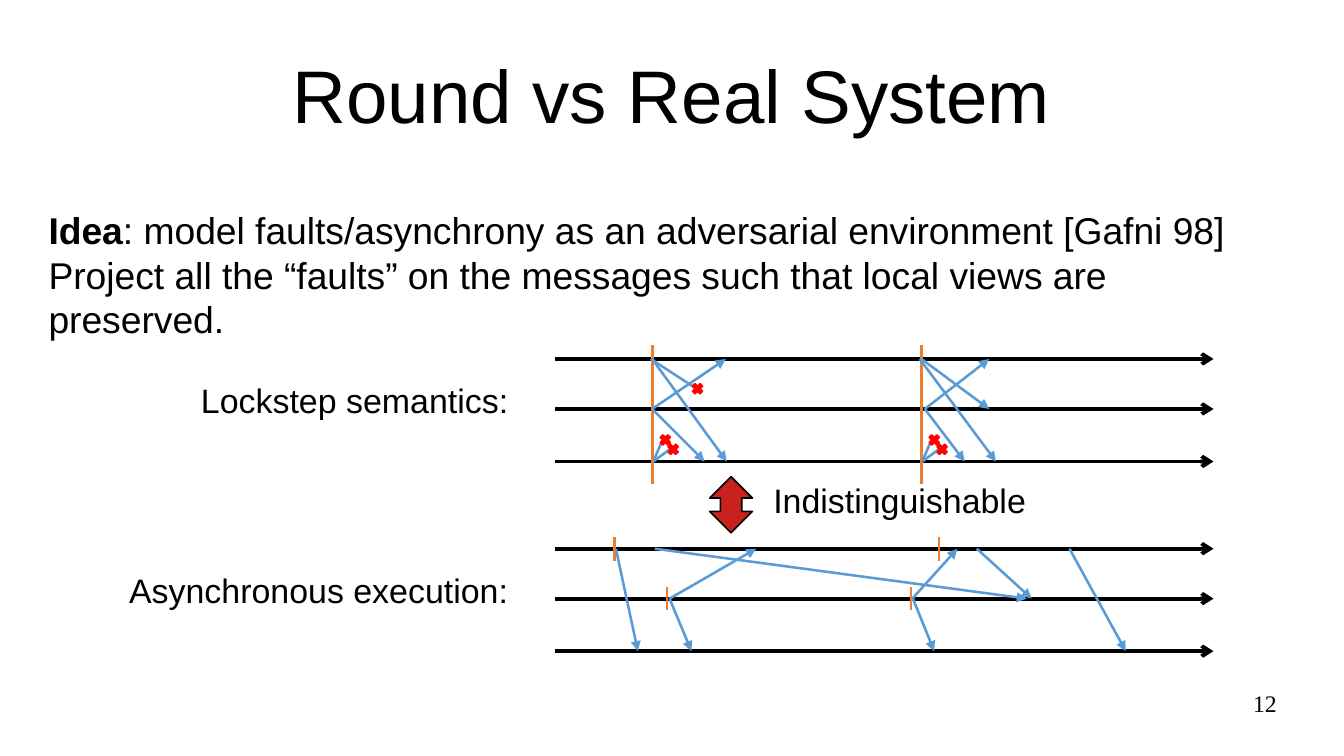
from pptx import Presentation
from pptx.dml.color import RGBColor
from pptx.enum.shapes import MSO_CONNECTOR, MSO_SHAPE
from pptx.enum.text import MSO_ANCHOR, MSO_AUTO_SIZE, PP_ALIGN
from pptx.oxml.ns import qn
from pptx.util import Pt
from lxml.etree import SubElement

BLACK = RGBColor(0x00, 0x00, 0x00)
ORANGE = RGBColor(0xED, 0x7D, 0x31)
BLUE = RGBColor(0x5B, 0x9B, 0xD5)
RED = RGBColor(0xFF, 0x00, 0x00)
DARK_RED = RGBColor(0xC9, 0x21, 0x1E)

TITLE = "Round vs Real System"
IDEA = [
    [("Idea", True),
     (": model faults/asynchrony as an adversarial environment [Gafni 98]", False)],
    [("Project all the “faults” on the messages such that local views are preserved.", False)],
]
LABELS = [  # text, left, top, width
    ("Lockstep semantics:", 111.6, 220.7, 196),
    ("Asynchronous execution:", 69.1, 332.6, 239),
    ("Indistinguishable", 449.5, 279.4, 166),
]

LANE_LEFT, LANE_RIGHT = 327.8, 716.4
LANE_OFFSETS = (0, 29.5, 60.5)
LOCKSTEP = [212 + offset for offset in LANE_OFFSETS]
ASYNCHRONOUS = [324 + offset for offset in LANE_OFFSETS]

# Messages: start x, start lane, end x, end lane
LOCKSTEP_MESSAGES = [
    (385, 0, 429, 2), (385, 1, 428.5, 0), (385, 1, 416, 2),
    (543, 0, 588, 2), (546, 1, 584, 0), (546, 1, 569.5, 2), (544, 0, 584, 1),
]
ASYNCHRONOUS_MESSAGES = [
    (363.6, 0, 376.6, 2), (386.6, 0, 606.2, 1), (395.3, 1, 408.2, 2),
    (395.3, 1, 446.4, 0), (539, 1, 551.5, 2), (538.6, 1, 565.2, 0),
    (576.7, 0, 609.1, 1), (631.4, 0, 664.6, 2),
]
ROUND_STARTS = (385.2, 544)
LOCAL_STARTS = [(362.9, 0), (393.8, 1), (554.4, 0), (537.8, 1)]  # x, lane
TICK_HALF = 7

# Lost messages, from the round start: start dx, lane, end dx, dy, cross dx, dy
LOST_EACH_ROUND = [(0.5, 2, 12, -8.5, 12.2, -7.2), (0.5, 2, 5, -10.5, 7.6, -12.7)]
LOST_FIRST_ROUND = [(-1, 0, 29, 19.5, 26.6, 17.5)]
CROSS_SIZE = 8.64


def add_line(page, x1, y1, x2, y2, color, width=1.5, head=None):
    line = page.shapes.add_connector(
        MSO_CONNECTOR.STRAIGHT, Pt(x1), Pt(y1), Pt(x2), Pt(y2))
    line.line.color.rgb = color
    line.line.width = Pt(width)
    if head:
        SubElement(line.line._get_or_add_ln(), qn("a:tailEnd"), type=head)
    SubElement(line._element.spPr, qn("a:effectLst"))


def add_symbol(page, kind, left, top, width, height, fill, outline):
    symbol = page.shapes.add_shape(kind, Pt(left), Pt(top), Pt(width), Pt(height))
    symbol.shadow.inherit = False
    symbol.fill.solid()
    symbol.fill.fore_color.rgb = fill
    symbol.line.color.rgb = outline
    symbol.line.width = Pt(1)


def style(span, size, name="Arial", bold=False):
    span.font.size = Pt(size)
    span.font.name = name
    span.font.bold = bold
    span.font.color.rgb = BLACK


def add_box(page, left, top, width, height):
    frame = page.shapes.add_textbox(Pt(left), Pt(top), Pt(width), Pt(height)).text_frame
    frame.word_wrap = True
    return frame


def clear_margins(frame):
    frame.margin_left = frame.margin_right = frame.margin_top = frame.margin_bottom = 0


def add_title(page):
    title = page.shapes.title
    title.left, title.top, title.width, title.height = Pt(39.6), Pt(18), Pt(714.2), Pt(74.9)
    frame = title.text_frame
    frame.text = TITLE
    frame.auto_size = MSO_AUTO_SIZE.NONE
    frame.vertical_anchor = MSO_ANCHOR.MIDDLE
    clear_margins(frame)
    frame.paragraphs[0].alignment = PP_ALIGN.CENTER
    style(frame.paragraphs[0].runs[0], 44)


def add_texts(page):
    for text, left, top, width in LABELS:
        frame = add_box(page, left, top, width, 31)
        frame.word_wrap = False
        frame.auto_size = MSO_AUTO_SIZE.SHAPE_TO_FIT_TEXT
        frame.text = text
        style(frame.paragraphs[0].runs[0], 20)

    frame = add_box(page, 21.6, 118.8, 720, 80.6)
    for index, spans in enumerate(IDEA):
        para = frame.add_paragraph() if index else frame.paragraphs[0]
        for text, bold in spans:
            span = para.add_run()
            span.text = text
            style(span, 22, bold=bold)

    frame = add_box(page, 568.8, 406.8, 185, 31)
    clear_margins(frame)
    frame.text = "12"
    frame.paragraphs[0].alignment = PP_ALIGN.RIGHT
    style(frame.paragraphs[0].runs[0], 14, "Times New Roman")


def add_diagram(page):
    for y in LOCKSTEP + ASYNCHRONOUS:
        add_line(page, LANE_LEFT, y, LANE_RIGHT, y, BLACK, 2.25, "arrow")
    for x in ROUND_STARTS:
        add_line(page, x, LOCKSTEP[0] - 8, x, LOCKSTEP[2] + 13.5, ORANGE)
    for x, lane in LOCAL_STARTS:
        y = ASYNCHRONOUS[lane]
        add_line(page, x, y - TICK_HALF, x, y + TICK_HALF, ORANGE)

    for lanes, messages in ((LOCKSTEP, LOCKSTEP_MESSAGES),
                            (ASYNCHRONOUS, ASYNCHRONOUS_MESSAGES)):
        for x1, start, x2, end in messages:
            add_line(page, x1, lanes[start], x2, lanes[end], BLUE, head="triangle")

    for x, lost in zip(ROUND_STARTS, (LOST_FIRST_ROUND + LOST_EACH_ROUND, LOST_EACH_ROUND)):
        for start_dx, lane, end_dx, end_dy, _, _ in lost:
            y = LOCKSTEP[lane]
            add_line(page, x + start_dx, y, x + end_dx, y + end_dy, BLUE)
        for _, lane, _, _, cross_dx, cross_dy in lost:
            add_symbol(page, MSO_SHAPE.MATH_MULTIPLY, x + cross_dx - CROSS_SIZE / 2,
                       LOCKSTEP[lane] + cross_dy - CROSS_SIZE / 2,
                       CROSS_SIZE, CROSS_SIZE, RED, RED)
    add_symbol(page, MSO_SHAPE.UP_DOWN_ARROW, 419, 281.5, 25.2, 33.1, DARK_RED, BLACK)


def main():
    deck = Presentation()
    deck.slide_width, deck.slide_height = Pt(793.44), Pt(446.4)
    page = deck.slides.add_slide(deck.slide_layouts[5])
    add_title(page)
    add_diagram(page)
    add_texts(page)
    deck.save("out.pptx")


if __name__ == "__main__":
    main()
